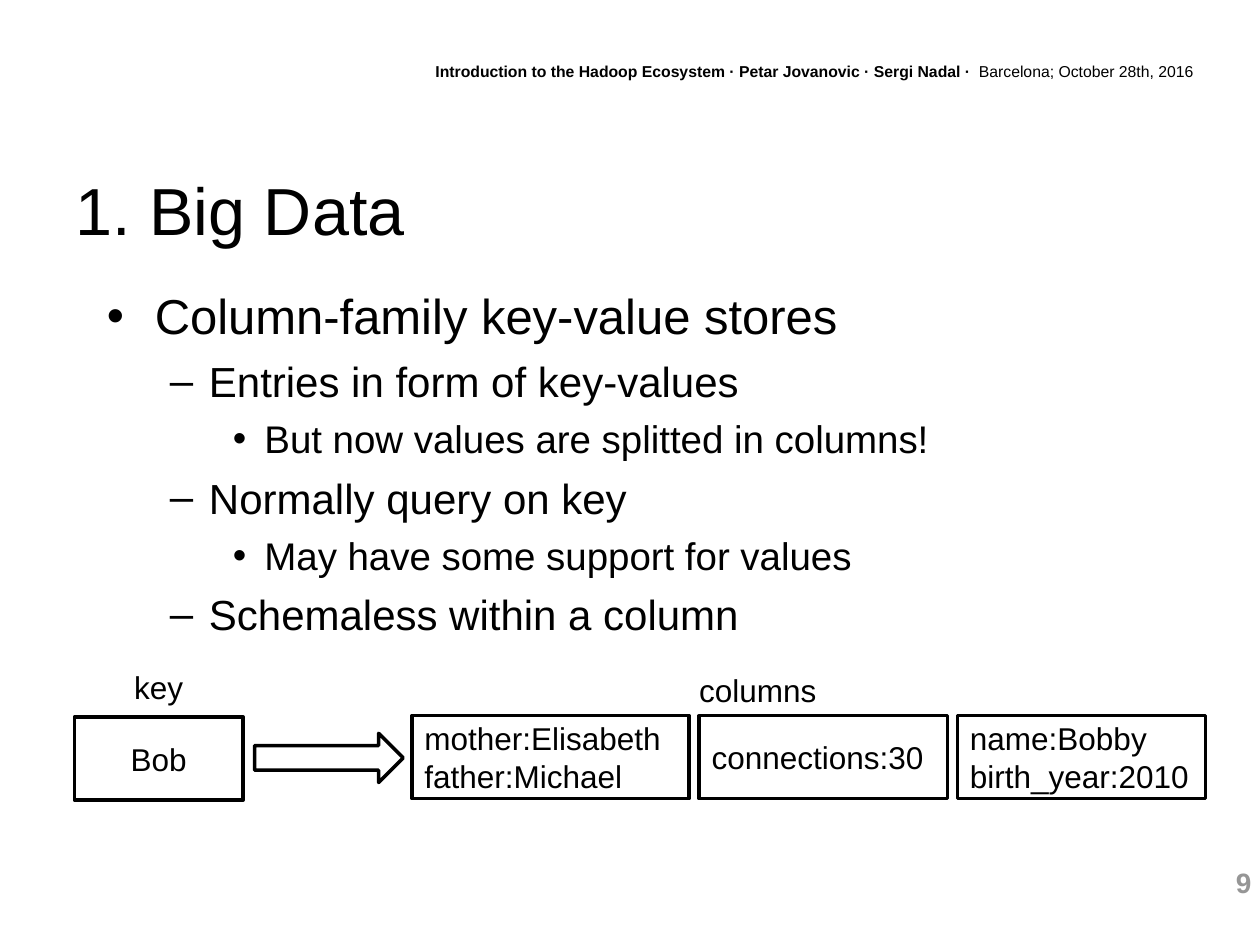
from pptx import Presentation
from pptx.dml.color import RGBColor
from pptx.enum.shapes import MSO_SHAPE
from pptx.enum.text import MSO_ANCHOR, MSO_AUTO_SIZE, PP_ALIGN
from pptx.oxml.ns import qn
from pptx.util import Inches, Pt
from lxml import etree

RECT = MSO_SHAPE.RECTANGLE
ARROW = MSO_SHAPE.RIGHT_ARROW
TOP, MID = MSO_ANCHOR.TOP, MSO_ANCHOR.MIDDLE
LEFT, MIDDLE, RIGHT = PP_ALIGN.LEFT, PP_ALIGN.CENTER, PP_ALIGN.RIGHT
FIXED = MSO_AUTO_SIZE.NONE

COLORS = {"ink": "000000", "number": "969696"}
FONT = "Arial"

LEVELS = [
    {"mark": "•", "left": 0.38, "hang": 0.38, "size": 28, "before": 7},
    {"mark": "–", "left": 0.81, "hang": 0.31, "size": 24, "before": 6},
    {"mark": "•", "left": 1.25, "hang": 0.25, "size": 22, "before": 5.5},
]
POINTS = [
    (0, "Column-family key-value stores"),
    (1, "Entries in form of key-values"),
    (2, "But now values are splitted in columns!"),
    (1, "Normally query on key"),
    (2, "May have some support for values"),
    (1, "Schemaless within a column"),
]
CELLS = [
    (0.59, 5.69, 1.34, ["Bob"], MIDDLE),
    (3.27, 5.68, 2.2, ["mother:Elisabeth", "father:Michael"], LEFT),
    (5.55, 5.68, 1.97, ["connections:30"], LEFT),
    (7.6, 5.68, 1.97, ["name:Bobby", "birth_year:2010"], LEFT),
]


def color(name):
    return RGBColor.from_string(COLORS[name])


def write(para, text, size=18, bold=False, ink="ink", align=LEFT):
    para.alignment = align
    run = para.add_run()
    run.text = text
    run.font.name = FONT
    run.font.size = Pt(size)
    run.font.bold = bold
    run.font.color.rgb = color(ink)


def set_frame(shape, anchor=TOP):
    frame = shape.text_frame
    frame.word_wrap = True
    frame.auto_size = FIXED
    frame.vertical_anchor = anchor
    return frame


def fill_lines(frame, lines, **style):
    for i, line in enumerate(lines):
        para = frame.add_paragraph() if i else frame.paragraphs[0]
        write(para, line, **style)


def add_text(slide, box, *lines, **style):
    shape = slide.shapes.add_textbox(*map(Inches, box))
    frame = set_frame(shape)
    fill_lines(frame, lines, **style)
    return frame


def add_title(slide, box, text):
    title = slide.shapes.title
    title.left, title.top, title.width, title.height = map(Inches, box)
    write(set_frame(title, MID).paragraphs[0], text, size=38)


def add_shape(slide, kind, box):
    shape = slide.shapes.add_shape(kind, *map(Inches, box))
    shape.shadow.inherit = False
    shape.fill.background()
    shape.line.color.rgb = color("ink")
    shape.line.width = Pt(2)
    return shape


def add_cell(slide, box, lines, align):
    shape = add_shape(slide, RECT, box)
    fill_lines(set_frame(shape, MID), lines, align=align)


def set_mark(para, mark, left, hang):
    props = para._p.get_or_add_pPr()
    props.set("marL", str(Inches(left)))
    props.set("indent", str(-Inches(hang)))
    etree.SubElement(props, qn("a:buFont"), typeface=FONT)
    etree.SubElement(props, qn("a:buChar"), char=mark)


def add_points(slide, box):
    frame = add_text(slide, box)
    frame.margin_top = Inches(0.1)
    for i, (level, text) in enumerate(POINTS):
        rule = LEVELS[level]
        para = frame.add_paragraph() if i else frame.paragraphs[0]
        set_mark(para, rule["mark"], rule["left"], rule["hang"])
        para.level = level
        if i:
            para.space_before = Pt(rule["before"])
        write(para, text, size=rule["size"])


def main():
    deck = Presentation()
    deck.slide_width, deck.slide_height = Inches(10), Inches(7.5)
    slide = deck.slides.add_slide(deck.slide_layouts[5])

    add_text(slide, (8.76, 6.82, 1.27, 0.37), "9",
             size=16, bold=True, ink="number", align=RIGHT)
    head = add_text(
        slide, (2.8, 0.44, 6.77, 0.25),
        "Introduction to the Hadoop Ecosystem · Petar Jovanovic · Sergi Nadal ·  ",
        size=9, bold=True, align=RIGHT)
    write(head.paragraphs[0], "Barcelona; October 28th, 2016",
          size=9, align=RIGHT)
    add_title(slide, (0.5, 1.23, 9, 0.86), "1. Big Data")
    add_points(slide, (0.75, 2.17, 8.75, 2.96))

    for left, top, width, lines, align in CELLS:
        add_cell(slide, (left, top, width, 0.66), lines, align)
    add_text(slide, (0.59, 5.25, 1.34, 0.4), "key", align=MIDDLE)
    add_text(slide, (3.25, 5.28, 5.53, 0.4), "columns", align=MIDDLE)
    add_shape(slide, ARROW, (2.02, 5.82, 1.18, 0.39))
    deck.save("out.pptx")


if __name__ == "__main__":
    main()
